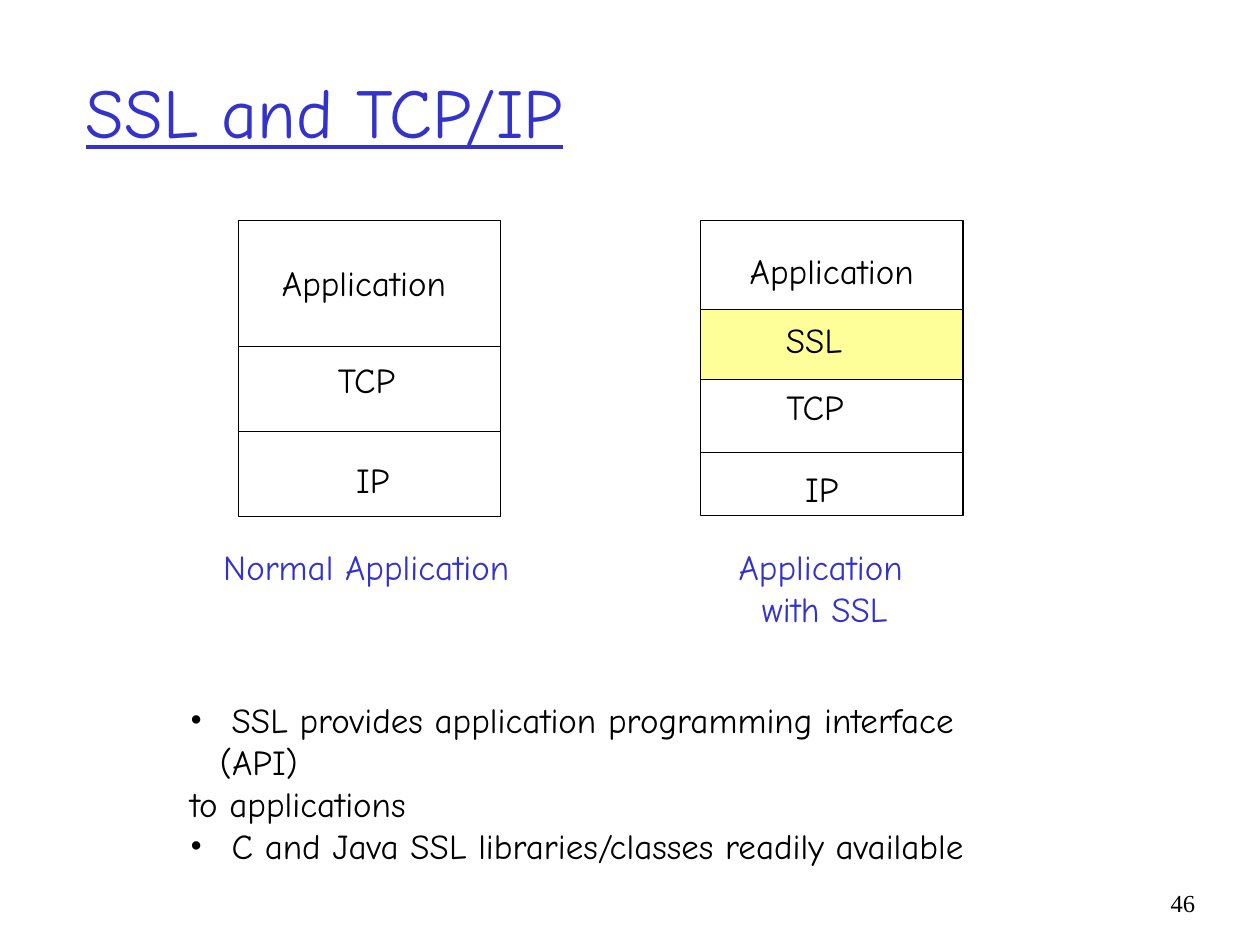
from pptx import Presentation
from pptx import util as u
from pptx.dml.color import RGBColor
from pptx.enum import shapes, text
from pptx.oxml import parse_xml
from pptx.oxml.ns import nsdecls

Pt = u.Pt
BLACK = RGBColor(0x00, 0x00, 0x00)
BLUE = RGBColor(0x33, 0x33, 0xCC)
YELLOW = RGBColor(0xFF, 0xFF, 0x99)

LAYER_WIDTH = 150
STACK_TOP = 126
CAPTION_TOP = 308
LABEL_HEIGHT = 31.5
LABEL_WIDTHS = {"Application": 110, "SSL": 49, "TCP": 50, "IP": 36}

# Layer: height, fill; label: text, left, top
NORMAL_LAYERS = [(72, None), (48.5, None), (48.5, None)]
NORMAL_LABELS = [("Application", 154, 146), ("TCP", 186, 201.3), ("IP", 196.5, 258.7)]
SSL_LAYERS = [(51, None), (39.7, YELLOW), (42, None), (36, None)]
SSL_LABELS = [("Application", 421.3, 139), ("SSL", 442, 178.5),
              ("TCP", 442.3, 217), ("IP", 453, 263.5)]


class Deck:
    font = "Comic Neue"
    size = 20
    line_width = 0.75

    def __init__(self, slide):
        self.slide = slide
        self.shapes = slide.shapes

    def start_group(self):
        """Send the elements that follow into a new group."""
        self.shapes = self.slide.shapes.add_group_shape().shapes

    def end_group(self):
        self.shapes = self.slide.shapes

    def text(self, lines, left, top, width, height, color=BLACK,
             wrap=False, frame=None, align=None, **font):
        tb = self.shapes.add_textbox(Pt(left), Pt(top), Pt(width), Pt(height))
        tf = tb.text_frame
        settings = {"word_wrap": wrap,
                    "auto_size": text.MSO_AUTO_SIZE.SHAPE_TO_FIT_TEXT}
        for name, value in (settings | (frame or {})).items():
            setattr(tf, name, value)
        style = {"name": self.font, "size": Pt(self.size)} | font
        for i, line in enumerate(lines):
            p = tf.paragraphs[0] if i == 0 else tf.add_paragraph()
            p.alignment = align
            r = p.add_run()
            r.text = line
            for name, value in style.items():
                setattr(r.font, name, value)
            r.font.color.rgb = color
        return tf

    def bullet(self, p, hang=17):
        pPr = p._p.get_or_add_pPr()
        pPr.set("marL", str(Pt(hang)))
        pPr.set("indent", str(-Pt(hang)))
        pPr.append(parse_xml(f'<a:buFont {nsdecls("a")} typeface="Times New Roman"/>'))
        pPr.append(parse_xml(f'<a:buChar {nsdecls("a")} char="•"/>'))

    def layer(self, left, top, height, fill=None):
        sp = self.shapes.add_shape(shapes.MSO_SHAPE.RECTANGLE, Pt(left), Pt(top),
                                   Pt(LAYER_WIDTH), Pt(height))
        sp.shadow.inherit = False
        sp.line.color.rgb = BLACK
        sp.line.width = Pt(self.line_width)
        if fill is None:
            sp.fill.background()
        else:
            sp.fill.solid()
            sp.fill.fore_color.rgb = fill

    def stack(self, left, layers, labels):
        top = STACK_TOP
        for height, fill in layers:
            self.layer(left, top, height, fill)
            top += height
        for label, x, y in labels:
            self.text([label], x, y, LABEL_WIDTHS[label], LABEL_HEIGHT)


def main():
    prs = Presentation()
    prs.slide_width, prs.slide_height = Pt(720), Pt(540)
    s = prs.slides.add_slide(prs.slide_layouts[6])
    deck = Deck(s)
    fixed = {"auto_size": text.MSO_AUTO_SIZE.NONE}

    deck.text(["46"], 654, 504, 36, 36, wrap=True, frame=fixed,
              align=text.PP_ALIGN.RIGHT, name="Times New Roman", size=Pt(14))
    deck.text(["SSL and TCP/IP"], 42, 18, 612, 90, BLUE, wrap=True,
              frame=fixed | {"vertical_anchor": text.MSO_ANCHOR.MIDDLE},
              size=Pt(40), underline=True)

    deck.start_group()
    deck.stack(136.2, NORMAL_LAYERS, NORMAL_LABELS)
    deck.text(["Normal Application"], 120.5, CAPTION_TOP, 180, LABEL_HEIGHT, BLUE)

    deck.start_group()
    deck.stack(400.3, SSL_LAYERS, SSL_LABELS)
    caption = deck.text(["Application", "with SSL"], 415, CAPTION_TOP, 114.5, 55.5, BLUE)
    caption.paragraphs[1]._p.get_or_add_pPr().set("marL", str(Pt(13.3)))
    deck.end_group()

    points = deck.text([" SSL provides application programming interface (API)",
                        "to applications",
                        " C and Java SSL libraries/classes readily available"],
                       101.6, 395.8, 493, 79, wrap=True)
    for i in (0, 2):
        deck.bullet(points.paragraphs[i])

    prs.save("out.pptx")


if __name__ == "__main__":
    main()
